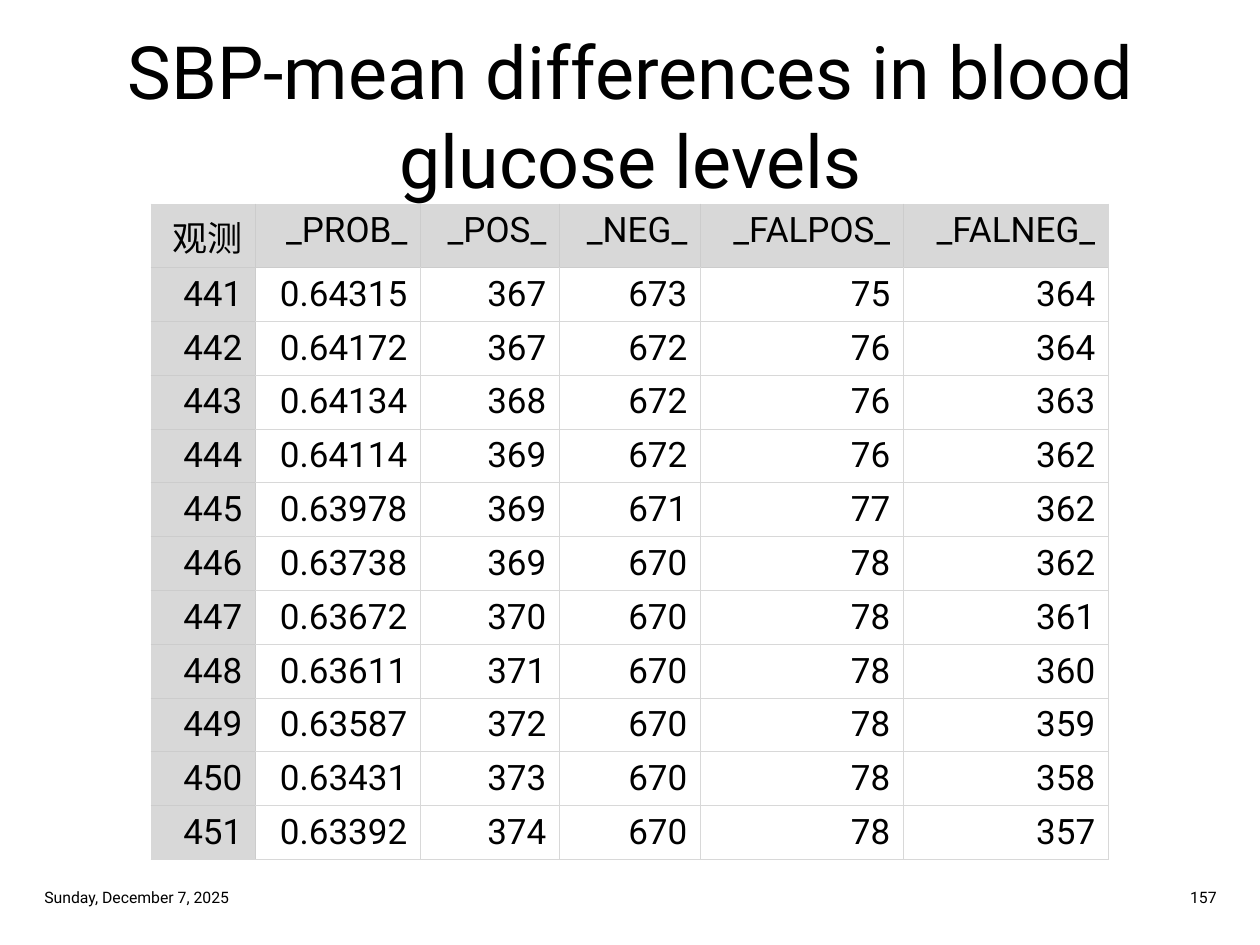
from dataclasses import dataclass

import lxml.etree
import pptx
import pptx.dml.color
import pptx.enum.text
import pptx.oxml.ns
import pptx.util

PX = pptx.util.Inches(1) // 126
ALIGN = pptx.enum.text.PP_ALIGN
MIDDLE = pptx.enum.text.MSO_ANCHOR.MIDDLE


@dataclass(frozen=True)
class Theme:
    font: str = "Roboto"
    text: str = "000000"
    shade: str = "D8D8D8"
    grid: str = "D8D8D8"
    shaded_grid: str = "CCCCCC"
    title_size: int = 42
    table_size: int = 20
    footer_size: int = 9
    border: float = 0.5


THEME = Theme()

TITLE = "SBP-mean differences in blood\vglucose levels"
HEADER = ("观测", "_PROB_", "_POS_", "_NEG_", "_FALPOS_", "_FALNEG_")
ROWS = (
    (441, 0.64315, 367, 673, 75, 364),
    (442, 0.64172, 367, 672, 76, 364),
    (443, 0.64134, 368, 672, 76, 363),
    (444, 0.64114, 369, 672, 76, 362),
    (445, 0.63978, 369, 671, 77, 362),
    (446, 0.63738, 369, 670, 78, 362),
    (447, 0.63672, 370, 670, 78, 361),
    (448, 0.63611, 371, 670, 78, 360),
    (449, 0.63587, 372, 670, 78, 359),
    (450, 0.63431, 373, 670, 78, 358),
    (451, 0.63392, 374, 670, 78, 357),
)
COLUMN_WIDTHS = (104, 165, 139, 141, 203, 205)
ROW_HEIGHT = 53
EDGES = {"lnL": (0, -1), "lnR": (0, 1), "lnT": (-1, 0), "lnB": (1, 0)}


def emu(*lengths):
    return [n * PX for n in lengths]


def set_text(tf, text, size, align):
    tf.text = text
    p = tf.paragraphs[0]
    p.alignment = align
    p.font.name = THEME.font
    p.font.size = pptx.util.Pt(size)
    p.font.color.rgb = pptx.dml.color.RGBColor.from_string(THEME.text)


def add_title(slide, box):
    sp = slide.shapes.title
    sp.left, sp.top, sp.width, sp.height = emu(*box)
    tf = sp.text_frame
    set_text(tf, TITLE, THEME.title_size, ALIGN.CENTER)
    tf.vertical_anchor = MIDDLE
    tf.auto_size = pptx.enum.text.MSO_AUTO_SIZE.NONE


def is_shaded(row, col):
    return row == 0 or col == 0


def set_borders(cell, row, col):
    """Draw all four edges, darker where an inner edge touches a shaded cell."""
    qn = pptx.oxml.ns.qn
    tc_pr = cell._tc.get_or_add_tcPr()
    for tag, (down, right) in EDGES.items():
        r, c = row + down, col + right
        inner = 0 <= r <= len(ROWS) and 0 <= c < len(HEADER)
        dark = inner and (is_shaded(row, col) or is_shaded(r, c))
        width = str(int(pptx.util.Pt(THEME.border)))
        ln = lxml.etree.SubElement(tc_pr, qn(f"a:{tag}"), w=width)
        fill = lxml.etree.SubElement(ln, qn("a:solidFill"))
        color = THEME.shaded_grid if dark else THEME.grid
        lxml.etree.SubElement(fill, qn("a:srgbClr"), val=color)


def add_results_table(slide, left, top):
    records = (HEADER, *ROWS)
    box = emu(left, top, sum(COLUMN_WIDTHS), ROW_HEIGHT * len(records))
    table = slide.shapes.add_table(len(records), len(HEADER), *box).table
    table.first_row = table.horz_banding = False
    for column, width in zip(table.columns, COLUMN_WIDTHS):
        column.width = width * PX
    for r, record in enumerate(records):
        table.rows[r].height = ROW_HEIGHT * PX
        for c, value in enumerate(record):
            cell = table.cell(r, c)
            set_text(cell.text_frame, str(value), THEME.table_size, ALIGN.RIGHT)
            set_borders(cell, r, c)
            if is_shaded(r, c):
                cell.fill.solid()
                cell.fill.fore_color.rgb = pptx.dml.color.RGBColor.from_string(THEME.shade)
            else:
                cell.fill.background()


def add_footer(slide, box):
    """Put the date at the left end of the box and the page number at the right."""
    left, top, width, height = box
    part = 300
    for x, text, align in (
        (left, "Sunday, December 7, 2025", ALIGN.LEFT),
        (left + width - part, "157", ALIGN.RIGHT),
    ):
        tf = slide.shapes.add_textbox(*emu(x, top, part, height)).text_frame
        tf.word_wrap = True
        tf.vertical_anchor = MIDDLE
        set_text(tf, text, THEME.footer_size, align)


def main():
    prs = pptx.Presentation()
    prs.slide_width, prs.slide_height = emu(1260, 945)
    slide = prs.slides.add_slide(prs.slide_layouts.get_by_name("Title Only"))
    add_title(slide, (32, 32, 1197, 165))
    add_results_table(slide, 151, 204)
    add_footer(slide, (32, 881, 1197, 33))
    prs.save("out.pptx")


if __name__ == "__main__":
    main()
